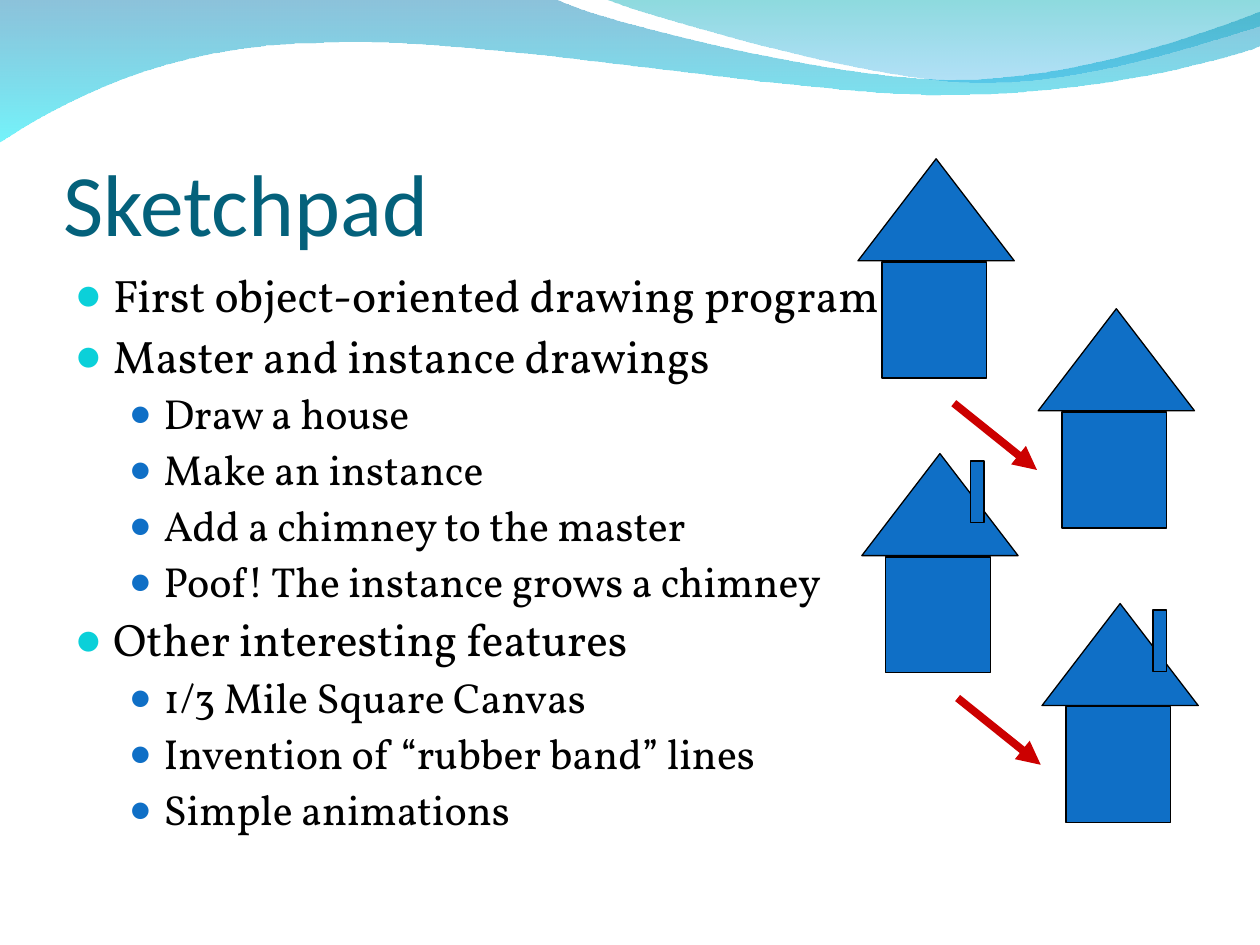
import pptx
import pptx.dml.color
import pptx.enum.shapes
import pptx.enum.text
import pptx.oxml
import pptx.oxml.ns
import pptx.util

BLUE, TEAL, RED, BLACK = "0F6FC6", "0BD0D9", "CC0000", "000000"
KIND = pptx.enum.shapes.MSO_SHAPE
LEVELS = [
    dict(size=26, left=0.3, hang=0.3, gap=6.5, tint=TEAL, share=95),
    dict(size=24, left=0.7, hang=0.27, gap=6, tint=BLUE, share=85),
]
POINTS = [
    (0, "First object-oriented drawing program"),
    (0, "Master and instance drawings"),
    (1, "Draw a house"),
    (1, "Make an instance"),
    (1, "Add a chimney to the master"),
    (1, "Poof! The instance grows a chimney"),
    (0, "Other interesting features"),
    (1, "1/3 Mile Square Canvas"),
    (1, "Invention of “rubber band” lines"),
    (1, "Simple animations"),
]
BAND = [
    [(0, -0.1)],
    [(44, -0.1)],
    [(47.6, 1.7), (66.4, 6.3), (75.8, 6.3)],
    [(85.3, 6.3), (95.8, 2.6), (100, 0.9)],
    [(100.1, 3.6)],
    [(98.3, 4.4), (87, 7.6), (74.6, 7.5)],
    [(62.2, 7.5), (38.2, 2.8), (25.7, 3.4)],
    [(12.9, 3.5), (4.6, 8.3), (-0.1, 11.3)],
]
CREST = [
    [(47.9, -0.1)],
    [(50.9, 1.1), (68.2, 6.2), (76.9, 6.5)],
    [(85.6, 6.9), (96.1, 3.2), (100, 2.1)],
    [(100, 0)],
]


def hue(code):
    return pptx.dml.color.RGBColor.from_string(code)


def node(home, tag, **attrs):
    item = pptx.oxml.parse_xml(f"<a:{tag} {pptx.oxml.ns.nsdecls('a')}/>")
    for name, value in attrs.items():
        item.set(name, str(value))
    home.append(item)
    return item


def bend(shape, parts):
    lines = iter(shape._element.spPr.xpath(".//a:lnTo"))
    for part in parts[1:]:
        legs = [next(lines) for spot in part]
        if len(legs) == 3:
            curve = node(legs[0].getparent(), "cubicBezTo")
            legs[0].addprevious(curve)
            for leg in legs:
                curve.append(leg[0])
                leg.getparent().remove(leg)


class Sketch:
    """Draws styled items on a slide laid out as 100 columns by 75 rows."""

    def __init__(self, deck):
        self.deck = deck
        self.slide = deck.slides.add_slide(deck.slide_layouts[5])
        self.shapes = self.slide.shapes

    def grid(self, *spans):
        sides = (self.deck.slide_width / 100, self.deck.slide_height / 75)
        return [round(span * sides[n % 2]) for n, span in enumerate(spans)]

    def run(self, para, text, size, font, code):
        run = para.add_run()
        run.text = text
        run.font.size = pptx.util.Pt(size)
        run.font.name = font
        run.font.color.rgb = hue(code)

    def wave(self, parts, stops):
        spots = [tuple(self.grid(*spot)) for part in parts for spot in part]
        pen = self.shapes.build_freeform(*spots[0])
        pen.add_line_segments(spots[1:])
        shape = pen.convert_to_shape()
        bend(shape, parts)
        shape.shadow.inherit = False
        shape.line.fill.background()
        shape.fill.gradient()
        shape.fill.gradient_angle = 270
        for stop, (place, code, alpha) in zip(shape.fill.gradient_stops, stops):
            stop.position = place
            stop.color.rgb = hue(code)
        fades = shape._element.spPr.xpath("./a:gradFill//a:srgbClr")
        for fade, (place, code, alpha) in zip(fades, stops):
            node(fade, "alpha", val=alpha * 1000)

    def title(self, text, *box):
        head = self.shapes.title
        self.shapes._spTree.append(head._element)
        head.left, head.top, head.width, head.height = self.grid(*box)
        frame = head.text_frame
        frame.margin_left = frame.margin_right = frame.margin_bottom = 0
        frame.margin_top = pptx.util.Inches(0.05)
        frame.vertical_anchor = pptx.enum.text.MSO_ANCHOR.BOTTOM
        para = frame.paragraphs[0]
        para.alignment = pptx.enum.text.PP_ALIGN.LEFT
        self.run(para, text, 50, "Calibri", "04617B")

    def points(self, rows, *box):
        frame = self.shapes.add_textbox(*self.grid(*box)).text_frame
        frame.word_wrap = True
        for n, (depth, text) in enumerate(rows):
            para = frame.add_paragraph() if n else frame.paragraphs[0]
            look = LEVELS[depth]
            para.level = depth
            para.line_spacing = 0.9
            para.space_before = pptx.util.Pt(look["gap"])
            props = para._p.get_or_add_pPr()
            props.set("marL", str(pptx.util.Inches(look["left"])))
            props.set("indent", str(-pptx.util.Inches(look["hang"])))
            node(node(props, "buClr"), "srgbClr", val=look["tint"])
            node(props, "buSzPct", val=look["share"] * 1000)
            node(props, "buFont", typeface="Calibri")
            node(props, "buChar", char="●")
            self.run(para, text, look["size"], "Vollkorn", BLACK)

    def block(self, kind, *box):
        shape = self.shapes.add_shape(kind, *self.grid(*box))
        shape.shadow.inherit = False
        shape.fill.solid()
        shape.fill.fore_color.rgb = hue(BLUE)
        shape.line.color.rgb = hue(BLACK)
        shape.line.width = pptx.util.Pt(0.75)

    def house(self, x, y):
        self.block(KIND.RECTANGLE, x + 1.9, y + 8.2, 8.3, 9.2)
        self.block(KIND.ISOSCELES_TRIANGLE, x, y, 12.4, 8.1)

    def arrow(self, *ends):
        link = self.shapes.add_connector(
            pptx.enum.shapes.MSO_CONNECTOR.STRAIGHT, *self.grid(*ends)
        )
        link.line.color.rgb = hue(RED)
        link.line.width = pptx.util.Pt(4.5)
        node(link.line._get_or_add_ln(), "tailEnd", type="triangle")
        node(link._element.spPr, "effectLst")

    def pair(self, x, y):
        self.house(x, y)
        self.house(x + 14.3, y + 11.9)
        self.arrow(x + 7.6, y + 19.4, x + 14.2, y + 24.7)


def main():
    deck = pptx.Presentation()
    deck.slide_width = pptx.util.Inches(10)
    deck.slide_height = pptx.util.Inches(7.5)
    page = Sketch(deck)
    page.wave(BAND, [(0, "0079AF", 45), (1, "00EBF8", 55)])
    page.wave(CREST, [(0, "00ADB6", 45), (1, "009BE5", 30)])
    page.title("Sketchpad", 5, 7.7, 90, 12.5)
    page.points(POINTS, 5, 21.2, 90, 48)
    page.pair(68.1, 12.6)
    page.pair(68.4, 36)
    for x, y in [(77, 36.6), (91.5, 48.4)]:
        page.block(KIND.RECTANGLE, x, y, 1.1, 4.9)
    deck.save("out.pptx")


if __name__ == "__main__":
    main()
